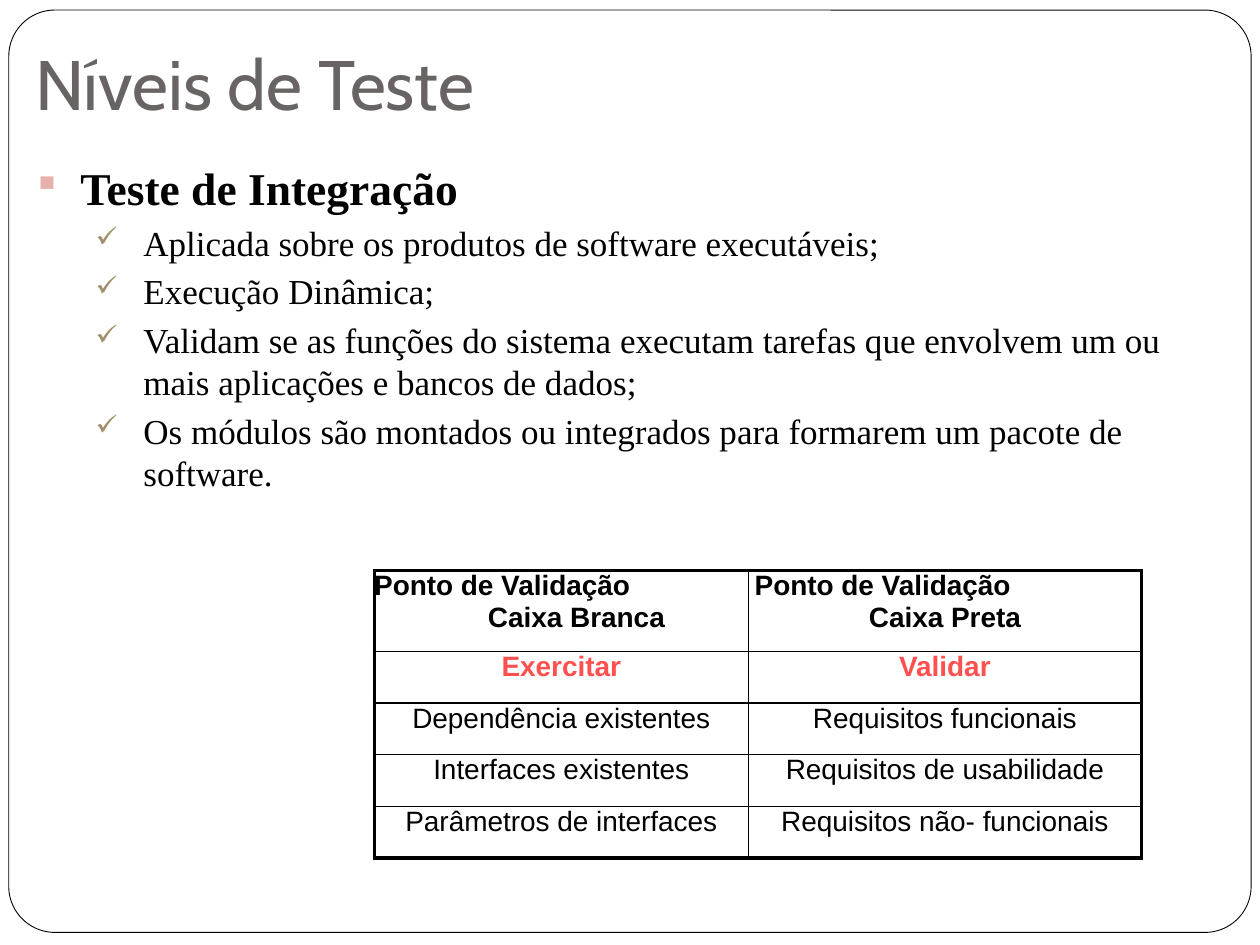
from lxml.etree import SubElement
from pptx import Presentation
from pptx.dml.color import RGBColor
from pptx.enum.shapes import MSO_SHAPE
from pptx.enum.text import MSO_ANCHOR, MSO_AUTO_SIZE, PP_ALIGN
from pptx.oxml.ns import qn
from pptx.util import Inches, Pt

WHITE = RGBColor(0xFF, 0xFF, 0xFF)
BLACK = RGBColor(0x00, 0x00, 0x00)
GREY = RGBColor(0x69, 0x64, 0x64)
RED = RGBColor(0xFF, 0x50, 0x50)
PINK = RGBColor(0xE6, 0xB1, 0xAB)
TAN = RGBColor(0xA2, 0x8E, 0x6A)

TITLE = "Níveis de Teste"
HEADING = "Teste de Integração"
POINTS = [
    "Aplicada sobre os produtos de software executáveis;",
    "Execução Dinâmica;",
    "Validam se as funções do sistema executam tarefas que envolvem um ou "
    "mais aplicações e bancos de dados;",
    "Os módulos são montados ou integrados para formarem um pacote de software.",
]
ROWS = [
    ("Ponto de Validação\nCaixa Branca", "Ponto de Validação\nCaixa Preta"),
    ("Exercitar", "Validar"),
    ("Dependência existentes", "Requisitos funcionais"),
    ("Interfaces existentes", "Requisitos de usabilidade"),
    ("Parâmetros de interfaces", "Requisitos não- funcionais"),
]
COLUMN_WIDTHS = [2.97, 3.12]
ROW_HEIGHTS = [0.64] + [0.41] * 4
HEADER_INDENTS = [(0, 0.24), (0.05, 0)]
THICK, THIN = Pt(2.25), Pt(1)


def set_font(para, name, size, color, bold=False):
    para.font.name = name
    para.font.size = Pt(size)
    para.font.bold = bold
    para.font.color.rgb = color


def set_bullet(para, symbol, color, percent, indent):
    props = para._p.get_or_add_pPr()
    props.set("marL", str(Inches(indent)))
    props.set("indent", str(Inches(-0.38)))
    bullet_color = SubElement(props, qn("a:buClr"))
    SubElement(bullet_color, qn("a:srgbClr"), val=str(color))
    SubElement(props, qn("a:buSzPct"), val=str(percent * 1000))
    SubElement(props, qn("a:buChar"), char=symbol)


def set_borders(cell, widths):
    props = cell._tc.get_or_add_tcPr()
    for side, width in zip("LRTB", widths):
        line = SubElement(props, qn(f"a:ln{side}"), w=str(width))
        fill = SubElement(line, qn("a:solidFill"))
        SubElement(fill, qn("a:srgbClr"), val=str(BLACK))


def add_frame(page):
    frame = page.shapes.add_shape(
        MSO_SHAPE.ROUNDED_RECTANGLE, Inches(0.07), Inches(0.08), Inches(9.86), Inches(7.32))
    frame.adjustments[0] = 0.05
    frame.shadow.inherit = False
    frame.fill.solid()
    frame.fill.fore_color.rgb = WHITE
    frame.line.color.rgb = BLACK
    frame.line.width = Pt(0.5)
    page.shapes.title.element.addprevious(frame.element)


def fill_title(page):
    title = page.shapes.title
    title.left, title.top = Inches(0.18), Inches(0.28)
    title.width, title.height = Inches(9.62), Inches(0.81)
    title.text = TITLE
    text = title.text_frame
    text.auto_size = MSO_AUTO_SIZE.NONE
    text.vertical_anchor = MSO_ANCHOR.BOTTOM
    text.margin_bottom = Inches(0.1)
    para = text.paragraphs[0]
    para.alignment = PP_ALIGN.LEFT
    set_font(para, "Cabin", 40, GREY)


def add_points(page):
    box = page.shapes.add_textbox(Inches(0.16), Inches(1.22), Inches(9.41), Inches(5.89))
    text = box.text_frame
    text.word_wrap = True
    heading = text.paragraphs[0]
    heading.text = HEADING
    set_bullet(heading, "▪", PINK, 85, 0.38)
    set_font(heading, "Times New Roman", 26, BLACK, True)
    for point in POINTS:
        para = text.add_paragraph()
        para.text = point
        para.level = 1
        para.space_before = Pt(3.8)
        set_bullet(para, "✓", TAN, 80, 0.88)
        set_font(para, "Times New Roman", 20, BLACK)


def add_validation_table(page):
    table = page.shapes.add_table(
        len(ROWS), len(COLUMN_WIDTHS), Inches(2.97), Inches(4.53),
        Inches(sum(COLUMN_WIDTHS)), Inches(sum(ROW_HEIGHTS))).table
    table.first_row = table.horz_banding = False
    for column, width in zip(table.columns, COLUMN_WIDTHS):
        column.width = Inches(width)
    for row, height in zip(table.rows, ROW_HEIGHTS):
        row.height = Inches(height)
    last_row, last_column = len(ROWS) - 1, len(COLUMN_WIDTHS) - 1
    for r, row in enumerate(ROWS):
        for c, words in enumerate(row):
            cell = table.cell(r, c)
            cell.text = words
            cell.margin_left = cell.margin_right = cell.margin_top = cell.margin_bottom = 0
            outer = (c == 0, c == last_column, r == 0, r == last_row)
            set_borders(cell, [THICK if edge else THIN for edge in outer])
            cell.fill.background()
            for para in cell.text_frame.paragraphs:
                para.alignment = PP_ALIGN.CENTER
                set_font(para, "Arial", 16, RED if r == 1 else BLACK, r < 2)
    for c, indents in enumerate(HEADER_INDENTS):
        paras = table.cell(0, c).text_frame.paragraphs
        paras[0].alignment = PP_ALIGN.LEFT
        for para, indent in zip(paras, indents):
            para._p.get_or_add_pPr().set("marL", str(Inches(indent)))


def main():
    deck = Presentation()
    deck.slide_width, deck.slide_height = Inches(10), Inches(7.5)
    page = deck.slides.add_slide(deck.slide_layouts[5])
    add_frame(page)
    fill_title(page)
    add_points(page)
    add_validation_table(page)
    deck.save("out.pptx")


if __name__ == "__main__":
    main()
